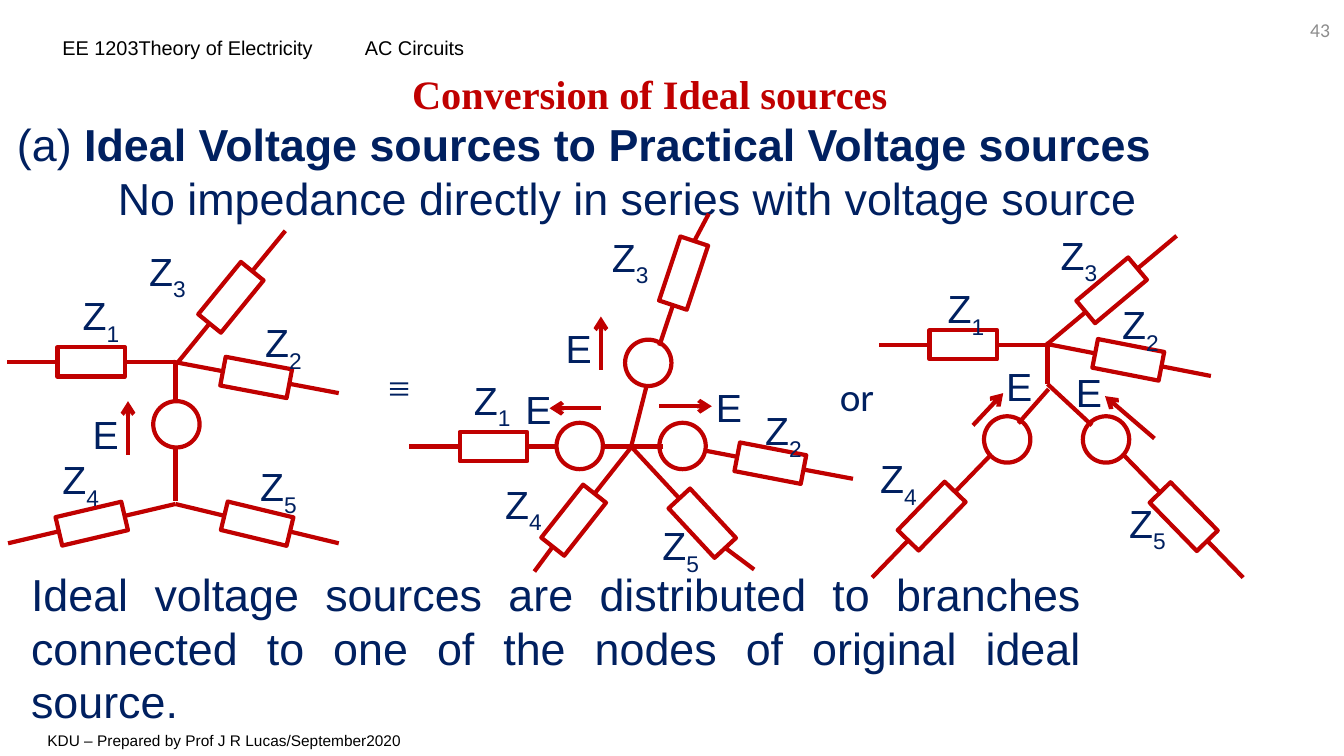
import math
from dataclasses import dataclass
from typing import NamedTuple

from lxml import etree
from pptx import Presentation
from pptx.dml.color import RGBColor
from pptx.enum.shapes import MSO_CONNECTOR, MSO_SHAPE
from pptx.enum.text import MSO_ANCHOR, PP_ALIGN
from pptx.oxml.ns import qn
from pptx.util import Inches, Pt

STRAIGHT = MSO_CONNECTOR.STRAIGHT
RECTANGLE, OVAL = MSO_SHAPE.RECTANGLE, MSO_SHAPE.OVAL
TOP, MIDDLE = MSO_ANCHOR.TOP, MSO_ANCHOR.MIDDLE
LEFT, CENTER, RIGHT, JUSTIFY = PP_ALIGN.LEFT, PP_ALIGN.CENTER, PP_ALIGN.RIGHT, PP_ALIGN.JUSTIFY

# The grid has square cells, a tenth of an inch wide
CELL = Inches(0.1)
COLUMNS, ROWS = 133.3, 75
RESISTOR_WIDTH, RESISTOR_LENGTH = 2.9, 6.7
SOURCE_SIZE = 4.6
LABEL_WIDTH, LABEL_HEIGHT = 4.7, 4.9


@dataclass(frozen=True)
class Theme:
    red: RGBColor = RGBColor(0xC0, 0x00, 0x00)
    navy: RGBColor = RGBColor(0x00, 0x20, 0x60)
    black: RGBColor = RGBColor(0x00, 0x00, 0x00)
    grey: RGBColor = RGBColor(0x8C, 0x8C, 0x8C)
    sans: str = "Arial"
    serif: str = "Times New Roman"
    plain: str = "Calibri"
    title: float = 28.8
    body: float = 32
    label: float = 28
    header: float = 14.2
    number: float = 14
    footer: float = 11
    stroke: float = 3


THEME = Theme()


class Point(NamedTuple):
    column: float
    row: float


class Box(NamedTuple):
    column: float
    row: float
    width: float
    height: float


class Piece(NamedTuple):
    text: str
    bold: bool = False
    subscript: bool = False


class Label(NamedTuple):
    place: Point
    letter: str
    index: str = ""
    font: str = THEME.sans


class Wire(NamedTuple):
    start: Point
    end: Point
    arrow: bool = False


class Branch(NamedTuple):
    inner: Point
    resistor: Point
    outer: Point
    index: str
    label: Point


class Circuit(NamedTuple):
    branches: list[Branch]
    sources: list[Point]
    wires: list[Wire]
    arrows: list[Wire]
    source_labels: list[Point]


@dataclass(frozen=True)
class TextBlock:
    box: Box
    lines: list[list[Piece]]
    size: float
    color: RGBColor
    font: str = THEME.sans
    align: PP_ALIGN = LEFT
    anchor: MSO_ANCHOR = MIDDLE
    insets: tuple[float, float] = (1, 0.5)
    tab: float = 0
    line_spacing: float = 1


def cells(count: float) -> int:
    return round(count * CELL)


def set_tab(paragraph, position: float) -> None:
    tab_list = etree.SubElement(paragraph._p.get_or_add_pPr(), qn("a:tabLst"))
    etree.SubElement(tab_list, qn("a:tab"), pos=str(cells(position)), algn="l")


def draw_text(slide, block: TextBlock) -> None:
    frame = slide.shapes.add_textbox(*map(cells, block.box)).text_frame
    frame.word_wrap = True
    frame.vertical_anchor = block.anchor
    frame.margin_left = frame.margin_right = cells(block.insets[0])
    frame.margin_top = frame.margin_bottom = cells(block.insets[1])
    for number, pieces in enumerate(block.lines):
        paragraph = frame.add_paragraph() if number else frame.paragraphs[0]
        paragraph.alignment = block.align
        paragraph.line_spacing = block.line_spacing
        if block.tab:
            set_tab(paragraph, block.tab)
        for piece in pieces:
            run = paragraph.add_run()
            run.text = piece.text
            run.font.name, run.font.size = block.font, Pt(block.size)
            run.font.bold = piece.bold
            run.font.color.rgb = block.color
            if piece.subscript:
                run._r.get_or_add_rPr().set("baseline", "-30000")


def draw_label(slide, label: Label) -> None:
    pieces = [Piece(label.letter)]
    if label.index:
        pieces.append(Piece(label.index, subscript=True))
    box = Box(*label.place, LABEL_WIDTH, LABEL_HEIGHT)
    draw_text(slide, TextBlock(box, [pieces], THEME.label, THEME.navy, label.font,
                               anchor=TOP, insets=(0.2, 0.1)))


def draw_wire(slide, wire: Wire) -> None:
    connector = slide.shapes.add_connector(STRAIGHT, *map(cells, wire.start + wire.end))
    connector.line.color.rgb = THEME.red
    connector.line.width = Pt(THEME.stroke)
    if wire.arrow:
        etree.SubElement(connector.line._get_or_add_ln(), qn("a:tailEnd"), type="arrow")
    etree.SubElement(connector._element.spPr, qn("a:effectLst"))


def draw_outline(slide, kind: MSO_SHAPE, center: Point, width: float, height: float,
                 rotation: float = 0) -> None:
    corner = (center.column - width / 2, center.row - height / 2)
    shape = slide.shapes.add_shape(kind, *map(cells, (*corner, width, height)))
    shape.rotation = rotation
    shape.shadow.inherit = False
    shape.fill.background()
    shape.line.color.rgb = THEME.red
    shape.line.width = Pt(THEME.stroke)


def draw_branch(slide, branch: Branch) -> None:
    center = branch.resistor
    across, down = center.column - branch.inner.column, center.row - branch.inner.row
    reach = RESISTOR_LENGTH / 2 / math.hypot(across, down)
    near = Point(center.column - across * reach, center.row - down * reach)
    far = Point(center.column + across * reach, center.row + down * reach)
    draw_wire(slide, Wire(branch.inner, near))
    draw_wire(slide, Wire(far, branch.outer))
    angle = math.degrees(math.atan2(across, -down))
    draw_outline(slide, RECTANGLE, center, RESISTOR_WIDTH, RESISTOR_LENGTH, angle)
    draw_label(slide, Label(branch.label, "Z", branch.index))


def draw_circuit(slide, circuit: Circuit) -> None:
    for branch in circuit.branches:
        draw_branch(slide, branch)
    for center in circuit.sources:
        draw_outline(slide, OVAL, center, SOURCE_SIZE, SOURCE_SIZE)
    for wire in circuit.wires + circuit.arrows:
        draw_wire(slide, wire)
    for place in circuit.source_labels:
        draw_label(slide, Label(place, "E"))


# Headings, body and page furniture
TEXTS = [
    TextBlock(Box(6.2, 3.4, 98.3, 2.5), [[Piece("EE 1203Theory of Electricity\tAC Circuits")]],
              THEME.header, THEME.black, anchor=TOP, insets=(0, 0.1), tab=30),
    TextBlock(Box(4.7, 72.5, 36.5, 1.9), [[Piece("KDU – Prepared by Prof J R Lucas/September2020")]],
              THEME.footer, THEME.black, insets=(0, 0)),
    TextBlock(Box(127.3, 1.2, 5.6, 3.4), [[Piece("43")]], THEME.number, THEME.grey,
              THEME.plain, RIGHT),
    TextBlock(Box(4.7, 6.9, 119.5, 5.3), [[Piece("Conversion of Ideal sources", bold=True)]],
              THEME.title, THEME.red, THEME.serif, CENTER, line_spacing=0.9),
    TextBlock(Box(0.7, 11, 128.6, 11.8),
              [[Piece("(a) "), Piece("Ideal Voltage sources to Practical Voltage sources", bold=True)],
               [Piece("\tNo impedance directly in series with voltage source")]],
              THEME.body, THEME.navy, tab=10),
    TextBlock(Box(2.1, 55.6, 106.2, 17.2),
              [[Piece("Ideal voltage sources are distributed to branches connected to one "
                      "of the nodes of original ideal source.")]],
              THEME.body, THEME.navy, align=JUSTIFY),
]
JOINERS = [Label(Point(38.3, 35.9), "≡", font=THEME.serif),
           Label(Point(83.1, 36.8), "or", font=THEME.plain)]

# The ideal source, then its two equivalents
CIRCUITS = [
    Circuit(
        [Branch(Point(17.4, 35.9), Point(9.05, 35.9), Point(0.7, 35.9), "1", Point(8, 28.8)),
         Branch(Point(17.2, 35.9), Point(25.4, 37.45), Point(33.6, 39), "2", Point(26.1, 31.5)),
         Branch(Point(17.6, 36), Point(22.9, 29.5), Point(28.3, 22.9), "3", Point(14.6, 24.4)),
         Branch(Point(17.4, 50), Point(9.1, 51.95), Point(0.8, 53.9), "4", Point(6, 45.1)),
         Branch(Point(17.4, 50), Point(25.5, 51.95), Point(33.6, 53.9), "5", Point(25.6, 45.8))],
        [Point(17.5, 42.1)],
        [Wire(Point(17.4, 39.8), Point(17.4, 35.8)), Wire(Point(17.4, 49.7), Point(17.4, 44.3))],
        [Wire(Point(12.7, 45.1), Point(12.7, 39.8), True)],
        [Point(9, 40.6)]),
    Circuit(
        [Branch(Point(55.2, 44.3), Point(48.95, 44.3), Point(40.6, 44.3), "1", Point(46.8, 37.2)),
         Branch(Point(69.9, 44.7), Point(76.4, 45.95), Point(84.6, 47.5), "2", Point(75.7, 40.2)),
         Branch(Point(65.4, 34.3), Point(67.8, 27.1), Point(70.3, 21.2), "3", Point(60.5, 23)),
         Branch(Point(62.5, 44.5), Point(56.9, 51.6), Point(53, 56.7), "4", Point(49.9, 47.5)),
         Branch(Point(62.5, 44.2), Point(69.65, 51.9), Point(74.8, 56.5), "5", Point(65.5, 51.6))],
        [Point(64.3, 36), Point(57.5, 44.25), Point(67.7, 44.25)],
        [Wire(Point(62.6, 44.3), Point(64.1, 38.4)), Wire(Point(62.8, 44.3), Point(59.8, 44.3)),
         Wire(Point(65.8, 44.3), Point(62.6, 44.3))],
        [Wire(Point(59.6, 36.7), Point(59.6, 31.4), True),
         Wire(Point(59.6, 40.5), Point(54.5, 40.5), True),
         Wire(Point(65.4, 40.3), Point(70.6, 40.3), True)],
        [Point(55.9, 32.1), Point(51.9, 38.1), Point(70.8, 37.9)]),
    Circuit(
        [Branch(Point(103.9, 34.2), Point(95.55, 34.2), Point(87.2, 34.2), "1", Point(93.8, 28.1)),
         Branch(Point(103.7, 34.1), Point(111.9, 35.7), Point(120.1, 37.3), "2", Point(111.1, 29.7)),
         Branch(Point(103.8, 34.2), Point(110.25, 28.8), Point(116.7, 23.4), "3", Point(105, 22.8)),
         Branch(Point(98.3, 45.1), Point(92.4, 51.2), Point(86.5, 57.3), "4", Point(87.1, 45)),
         Branch(Point(111.5, 45.2), Point(117.4, 51.25), Point(123.3, 57.3), "5", Point(111.8, 49.4))],
        [Point(99.9, 43.6), Point(109.7, 43.6)],
        [Wire(Point(103.9, 38.1), Point(103.9, 34.1)), Wire(Point(104, 38.6), Point(101, 42)),
         Wire(Point(103.9, 38.1), Point(108.3, 42.2))],
        [Wire(Point(96.5, 42.2), Point(99.5, 39), True),
         Wire(Point(114.5, 43.5), Point(109.6, 39.3), True)],
        [Point(99.6, 35.8), Point(106.5, 36.4)]),
]


def main() -> None:
    presentation = Presentation()
    presentation.slide_width, presentation.slide_height = cells(COLUMNS), cells(ROWS)
    slide = presentation.slides.add_slide(presentation.slide_layouts[6])
    for block in TEXTS:
        draw_text(slide, block)
    for circuit in CIRCUITS:
        draw_circuit(slide, circuit)
    for joiner in JOINERS:
        draw_label(slide, joiner)
    presentation.save("out.pptx")


if __name__ == "__main__":
    main()
